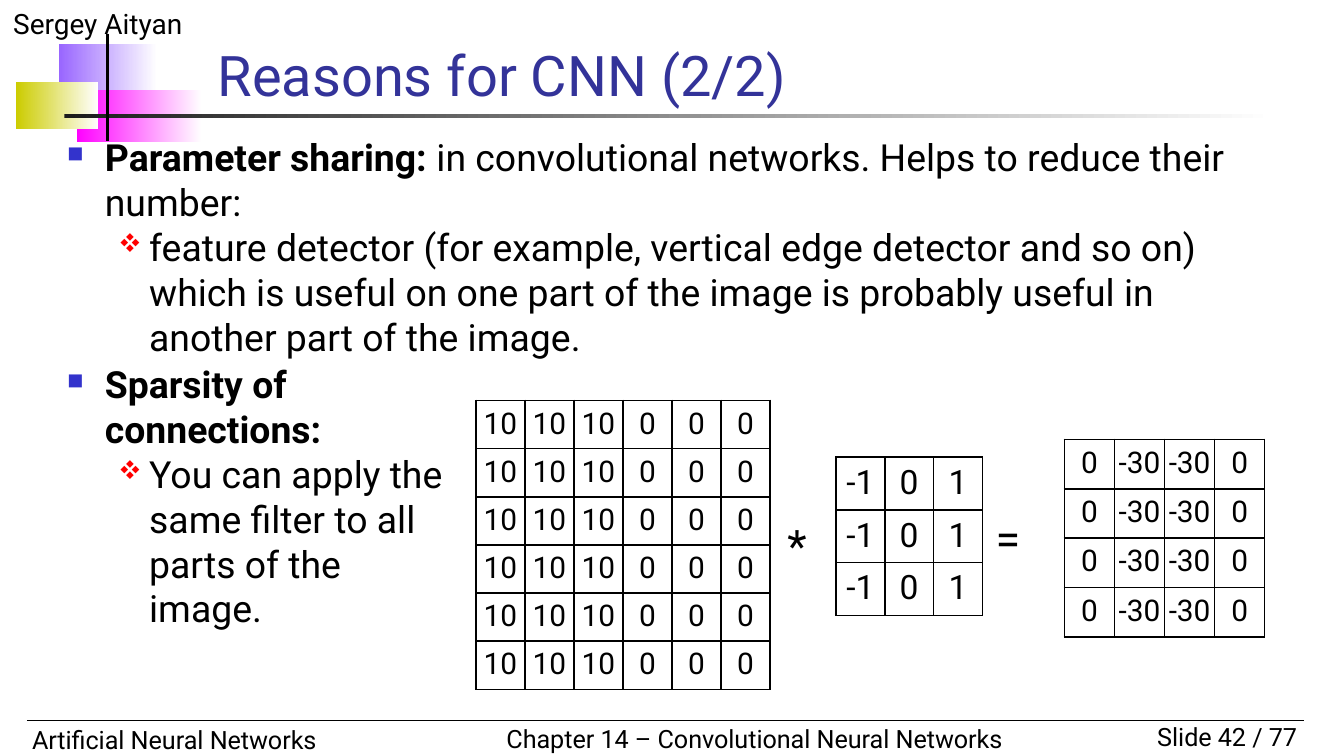
from lxml import etree
from pptx import Presentation
from pptx import util as u
from pptx.dml.color import RGBColor
from pptx.enum import shapes, text
from pptx.oxml import ns

FONT = "Roboto"
HUES = {
    "black": "000000", "white": "FFFFFF", "coal": "1C1C1C",
    "title": "333399", "violet": "9966FF", "pink": "FF00FF",
    "olive": "CCCC00", "blue": "3333CC", "red": "FF0000",
}
# Per level: left margin, hanging indent, Wingdings mark, its colour, size in %
MARKS = [
    (0.28, 0.28, "n", "blue", 60),
    (0.61, 0.23, "v", "red", 70),
]


def hue(name):
    return RGBColor.from_string(HUES[name])


def add_node(parent, tag, **attrs):
    return etree.SubElement(parent, ns.qn(tag), attrs)


def place(shape, left, top, width, height):
    shape.left, shape.top = u.Inches(left), u.Inches(top)
    shape.width, shape.height = u.Inches(width), u.Inches(height)


def write(para, words, size=20, color="black", bold=False, align="LEFT"):
    """Add a run to a paragraph and format both."""
    para.alignment = getattr(text.PP_ALIGN, align)
    run = para.add_run()
    run.text = words
    font = run.font
    font.name, font.size, font.bold = FONT, u.Pt(size), bold
    font.color.rgb = hue(color)


def add_label(slide, words, box, wrap=True, **style):
    label = slide.shapes.add_textbox(*map(u.Inches, box))
    frame = label.text_frame
    frame.word_wrap = wrap
    frame.auto_size = text.MSO_AUTO_SIZE.SHAPE_TO_FIT_TEXT
    write(frame.paragraphs[0], words, **style)


def add_fade(slide, color, box):
    """Add a bar that fades from a colour to white."""
    bar = slide.shapes.add_shape(shapes.MSO_SHAPE.RECTANGLE, *map(u.Inches, box))
    bar.shadow.inherit = False
    bar.line.fill.background()
    bar.fill.gradient()
    bar.fill.gradient_angle = 0
    for stop, name in zip(bar.fill.gradient_stops, (color, "white")):
        stop.color.rgb = hue(name)


def add_line(slide, ends, width):
    line = slide.shapes.add_connector(
        shapes.MSO_CONNECTOR.STRAIGHT, *map(u.Inches, ends))
    line.line.color.rgb = hue("black")
    line.line.width = u.Pt(width)
    add_node(line._element.spPr, "a:effectLst")


def set_mark(para, level):
    left, hang, sign, color, size = MARKS[level]
    para.level = level
    para.space_before = u.Pt(0)
    para.line_spacing = 1.0
    props = para._p.get_or_add_pPr()
    props.set("marL", str(u.Inches(left)))
    props.set("indent", str(-u.Inches(hang)))
    add_node(add_node(props, "a:buClr"), "a:srgbClr", val=HUES[color])
    add_node(props, "a:buSzPct", val=str(size * 1000))
    add_node(props, "a:buFont", typeface="Wingdings", charset="2")
    add_node(props, "a:buChar", char=sign)


def fill_title(holder, words):
    place(holder, 1.52, 0.31, 7.35, 0.54)
    frame = holder.text_frame
    frame.auto_size = text.MSO_AUTO_SIZE.NONE
    frame.vertical_anchor = text.MSO_ANCHOR.BOTTOM
    write(frame.paragraphs[0], words, size=30, color="title")


def fill_list(holder, box, items):
    """Fill a body with (level, [(words, bold), ...]) items."""
    place(holder, *box)
    frame = holder.text_frame
    frame.auto_size = text.MSO_AUTO_SIZE.NONE
    for i, (level, runs) in enumerate(items):
        para = frame.add_paragraph() if i else frame.paragraphs[0]
        set_mark(para, level)
        for words, bold in runs:
            write(para, words, bold=bold)


def set_edges(cell):
    props = cell._tc.get_or_add_tcPr()
    for side in "LRTB":
        edge = add_node(props, f"a:ln{side}", w=str(u.Pt(1)))
        solid = add_node(edge, "a:solidFill")
        add_node(solid, "a:srgbClr", val=HUES["black"])


def add_grid(slide, rows, box, size):
    """Add a matrix with equal cells that fill the box."""
    grid = slide.shapes.add_table(
        len(rows), len(rows[0]), *map(u.Inches, box)).table
    grid.first_row = grid.horz_banding = False
    for r, row in enumerate(rows):
        for c, value in enumerate(row):
            cell = grid.cell(r, c)
            cell.margin_left = cell.margin_right = 0
            cell.margin_top = cell.margin_bottom = u.Pt(3.3)
            set_edges(cell)
            cell.fill.background()
            write(cell.text_frame.paragraphs[0], str(value), size=size, align="CENTER")


def add_frame(slide):
    """Add the corner blocks, rules, header and footer."""
    add_fade(slide, "violet", (0.44, 0.33, 0.73, 0.39))
    add_fade(slide, "pink", (0.57, 0.67, 0.93, 0.39))
    add_fade(slide, "olive", (0.12, 0.61, 0.61, 0.35))
    add_fade(slide, "coal", (0.48, 0.85, 9, 0.03))
    add_label(slide, "Sergey Aityan", (0, 0, 2.5, 0.35), size=15)
    add_label(slide, "Slide 42 / 77", (8.25, 5.32, 1.5, 0.33), size=13.5, align="RIGHT")
    add_label(slide, "Artificial Neural Networks", (0.14, 5.34, 3.7, 0.33), size=13.5)
    add_label(slide, "Chapter 14 – Convolutional Neural Networks",
              (3.67, 5.33, 3.91, 0.33), wrap=False, size=13.5)
    add_line(slide, (0.2, 5.36, 9.7, 5.36), 0.75)
    add_line(slide, (0.8, 0.25, 0.8, 1.05), 2)


def main():
    deck = Presentation()
    deck.slide_width, deck.slide_height = u.Inches(10), u.Inches(10 * 9 / 16)
    slide = deck.slides.add_slide(deck.slide_layouts.get_by_name("Two Content"))
    title, share, sparse = list(slide.placeholders)[:3]
    for spare in list(slide.placeholders)[3:]:
        spare.element.getparent().remove(spare.element)

    add_frame(slide)
    fill_title(title, "Reasons for CNN (2/2)")
    fill_list(share, (0.4, 0.95, 9.19, 1.08), [
        (0, [("Parameter sharing: ", True),
             ("in convolutional networks. Helps to reduce their number:", False)]),
        (1, [("feature detector (for example, vertical edge detector and so on) "
              "which is useful on one part of the image is probably useful in "
              "another part of the image.", False)]),
    ])
    fill_list(sparse, (0.4, 2.64, 3.1, 2.32), [
        (0, [("Sparsity of connections:", True)]),
        (1, [("You can apply the same filter to all parts of the image.", False)]),
    ])

    add_grid(slide, [[10] * 3 + [0] * 3] * 6, (3.54, 2.98, 2.19, 2.15), 16)
    add_grid(slide, [[-1, 0, 1]] * 3, (6.22, 3.4, 1.09, 1.18), 18)
    add_label(slide, "*", (5.76, 3.8, 0.44, 0.5), size=24)
    add_grid(slide, [[0, -30, -30, 0]] * 4, (7.92, 3.27, 1.49, 1.47), 16)
    add_label(slide, "=", (7.31, 3.75, 0.44, 0.5), size=24)
    deck.save("out.pptx")


if __name__ == "__main__":
    main()
